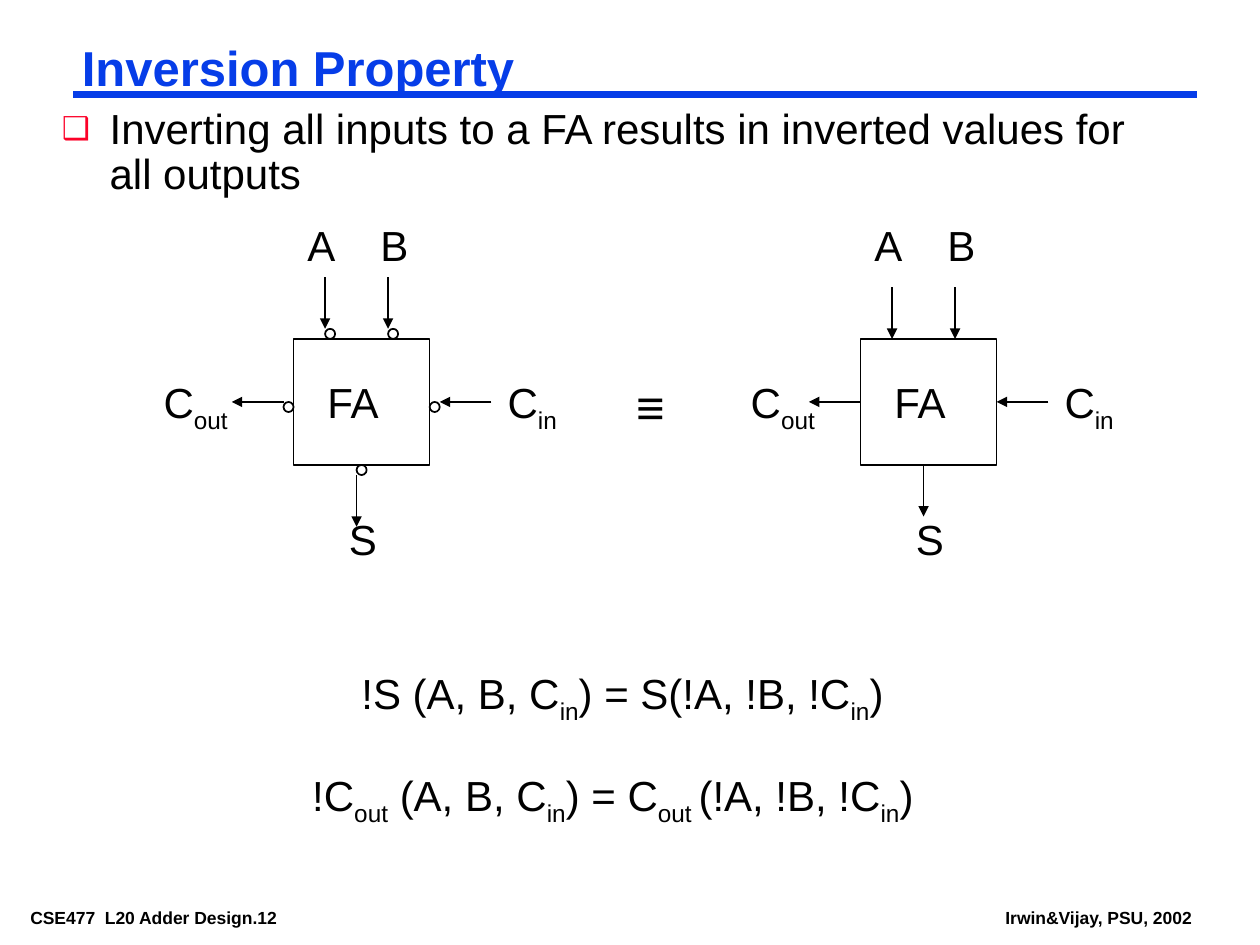
from lxml import etree
from pptx import Presentation
from pptx.dml.color import RGBColor
from pptx.enum.shapes import MSO_CONNECTOR as Conn, MSO_SHAPE as Shape
from pptx.enum.text import MSO_ANCHOR as Anchor, MSO_AUTO_SIZE as Auto, PP_ALIGN as Align
from pptx.oxml.ns import qn
from pptx.util import Inches, Pt

BLUE, RED, BLACK = "063DE8", "FC0128", "000000"
WIDE, SLIM = (0.1, 0.05), (0.07, 0.03)
REACH = 0.41


def color(code):
    return RGBColor.from_string(code)


def add(parent, tag, **attrs):
    return etree.SubElement(parent, qn(tag), attrs)


def style(font, size=24, bold=False, code=BLACK):
    for key, value in {"name": "Arial", "size": Pt(size), "bold": bold}.items():
        setattr(font, key, value)
    font.color.rgb = color(code)


def set_frame(frame, pad, wrap):
    side, edge = (Inches(v) for v in pad)
    form = {"margin_left": side, "margin_right": side, "margin_top": edge,
            "margin_bottom": edge, "word_wrap": wrap,
            "auto_size": Auto.SHAPE_TO_FIT_TEXT, "vertical_anchor": Anchor.TOP}
    for key, value in form.items():
        setattr(frame, key, value)


def label(slide, text, x, y, w, h=0.5, pad=WIDE, wrap=False, **look):
    """Write text in which each part between underscores is a subscript."""
    box = slide.shapes.add_textbox(*map(Inches, (x, y, w, h)))
    set_frame(box.text_frame, pad, wrap)
    para = box.text_frame.paragraphs[0]
    for i, part in enumerate(text.split("_")):
        if part:
            run = para.add_run()
            run.text = part
            style(run.font, **look)
            if i % 2:
                run.font._element.set("baseline", "-25000")
    return para


def draw_line(slide, start, end, width=1, code=BLACK, head=True):
    line = slide.shapes.add_connector(Conn.STRAIGHT, *map(Inches, (*start, *end)))
    line.line.width = Pt(width)
    line.line.color.rgb = color(code)
    if head:
        add(line.line._get_or_add_ln(), "a:tailEnd", type="triangle")
    add(line._element.spPr, "a:effectLst")
    return line


def outline(slide, kind, x, y, w, h):
    shape = slide.shapes.add_shape(kind, *map(Inches, (x, y, w, h)))
    shape.shadow.inherit = False
    shape.fill.background()
    shape.line.color.rgb = color(BLACK)
    shape.line.width = Pt(1)
    return shape


def add_title(slide, x, y, w, h):
    title = slide.shapes.title
    title.left, title.top, title.width, title.height = map(Inches, (x, y, w, h))
    title.text_frame.text = "Inversion Property"
    set_frame(title.text_frame, SLIM, True)
    para = title.text_frame.paragraphs[0]
    para.alignment, para.line_spacing = Align.LEFT, 0.87
    style(para.runs[0].font, 28, True, BLUE)
    draw_line(slide, (x, 0.75), (x + w, 0.75), 4.5, BLUE, head=False)


def add_point(slide, x, y, w, h):
    para = label(slide, "Inverting all inputs to a FA results in inverted values for all outputs",
                 x, y, w, h, SLIM, True)
    props = para._p.get_or_add_pPr()
    props.set("marL", str(Inches(0.38)))
    props.set("indent", str(Inches(-0.38)))
    add(add(props, "a:buClr"), "a:srgbClr", val=RED)
    add(props, "a:buSzPct", val="75000")
    add(props, "a:buFont", typeface="Arial")
    add(props, "a:buChar", char="❑")
    para.line_spacing = 0.9


def add_adder(slide, x, y, w=1.08, h=1, gap=0):
    """Draw a full adder; a gap puts an inverting bubble of that size on each pin."""
    body = outline(slide, Shape.RECTANGLE, x, y, w, h)
    mid = y + h / 2
    for text, dx, dy, wide, high in (
            ("A", 0.01, -1, 0.42, 0.5), ("B", 0.59, -1, 0.42, 0.5),
            ("S", 0.34, 1.34, 0.42, 0.5),
            ("C_in_", w + 0.44 + gap, 0.25, 0.59, 0.56),
            ("C_out_", -0.97 - 2 * gap, 0.25, 0.71, 0.56)):
        label(slide, text, x + dx, y + dy, wide, high)
    label(slide, "FA", x + 0.17, y + 0.25, 0.65, wrap=True)

    for pin in (x + 0.25, x + 0.75):
        draw_line(slide, (pin, y - gap - REACH), (pin, y - gap))
    low, left, right = y + h + gap, x - gap, x + w + gap
    draw_line(slide, (x + 0.5, low), (x + 0.5, low + REACH))
    carry_in = draw_line(slide, (right + REACH, mid), (right, mid))
    carry_out = draw_line(slide, (left, mid), (left - REACH, mid))
    if gap:
        for bx, by in ((x + 0.25, y - gap), (x + 0.75, y - gap), (x + 0.5, y + h),
                       (left, mid), (x + w, mid)):
            outline(slide, Shape.OVAL, bx, by, gap, gap)
    else:
        carry_in.end_connect(body, 3)
        carry_out.begin_connect(body, 1)


def add_footer(slide, y):
    for text, x, w in (("CSE477  L20 Adder Design.12", 0.17, 2.61),
                       ("Irwin&Vijay, PSU, 2002", 7.91, 1.63)):
        label(slide, text, x, y, w, 0.22, SLIM, size=10, bold=True)


def main():
    deck = Presentation()
    deck.slide_width, deck.slide_height = Inches(10), Inches(7.5)
    slide = deck.slides.add_slide(deck.slide_layouts[5])
    add_footer(slide, 7.17)
    add_title(slide, 0.58, 0.33, 8.92, 0.46)
    add_point(slide, 0.42, 0.83, 8.92, 0.78)
    add_adder(slide, 2.33, 2.69, gap=0.08)
    label(slide, "≡", 4.95, 2.94, 0.51, 0.57, size=28)
    add_adder(slide, 6.83, 2.69)
    label(slide, "!S (A, B, C_in_) = S(!A, !B, !C_in_)", 2.77, 5.25, 4.4, 0.56)
    label(slide, "!C_out_ (A, B, C_in_) = C_out _(!A, !B, !C_in_)", 2.38, 6.06, 5, 0.56)
    deck.save("out.pptx")


if __name__ == "__main__":
    main()
